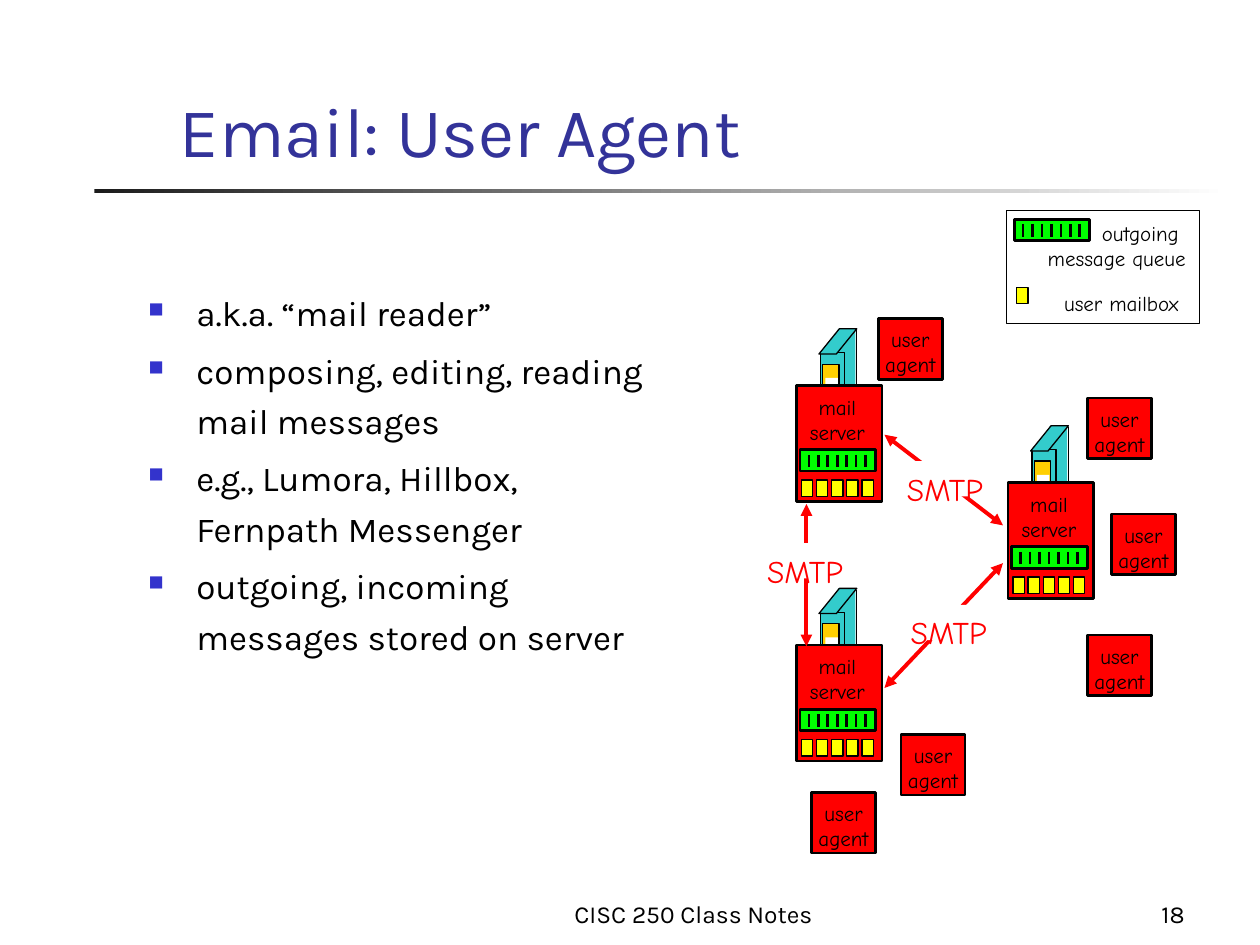
from lxml import etree
from pptx import Presentation, util as u
from pptx.dml.color import RGBColor
from pptx.enum import shapes, text
from pptx.oxml import ns

# Content; places are in columns and rows of a 100 x 75 grid
TITLE = "Email: User Agent"
BULLETS = [
    "a.k.a. “mail reader”",
    "composing, editing, reading mail messages",
    "e.g., Lumora, Hillbox, Fernpath Messenger",
    "outgoing, incoming messages stored on server",
]
FOOTER, PAGE_NUMBER = "CISC 250 Class Notes", "18"
SERVERS = [(80, 38.3), (63.2, 51.2), (63.2, 30.6)]
AGENTS = [(86.3, 31.6), (88.2, 40.8), (86.3, 50.4), (71.5, 58.3), (64.4, 62.9), (69.7, 25.3)]
ARROWS = [(70.2, 34.5, 79.6, 41.7), (70.2, 54.6, 79.6, 44.7), (64, 51.3, 64, 40)]
PROTOCOLS = [(71.7, 48), (71.4, 36.6), (60.3, 43.1)]

COLORS = {
    "title": "333399", "bullet": "3333CC", "black": "000000", "white": "FFFFFF",
    "rule": "1C1C1C", "red": "FF0000", "queue": "00FF00", "mailbox": "FFFF00",
    "tower": "33CCCC", "door": "FFCF01",
}
BODY_FONT, LABEL_FONT = "Karla", "Comic Neue"
LEFT, CENTER, RIGHT = text.PP_ALIGN.LEFT, text.PP_ALIGN.CENTER, text.PP_ALIGN.RIGHT
TOP, BOTTOM = text.MSO_ANCHOR.TOP, text.MSO_ANCHOR.BOTTOM

deck = Presentation()
deck.slide_width, deck.slide_height = u.Inches(10), u.Inches(7.5)
page = deck.slides.add_slide(deck.slide_layouts[6])
COLUMN, ROW = deck.slide_width / 100, deck.slide_height / 75


def grid(*lengths):
    """Turn alternating columns and rows into slide lengths."""
    return [round(n * (ROW if i % 2 else COLUMN)) for i, n in enumerate(lengths)]


def color(name):
    return RGBColor.from_string(COLORS[name])


def add_block(x, y, width, height, fill=None, line=None, kind=shapes.MSO_SHAPE.RECTANGLE):
    block = page.shapes.add_shape(kind, *grid(x, y, width, height))
    block.shadow.inherit = False
    if fill:
        block.fill.solid()
        block.fill.fore_color.rgb = color(fill)
    else:
        block.fill.background()
    if line:
        block.line.color.rgb = color("black")
        block.line.width = u.Pt(line)
    else:
        block.line.fill.background()
    return block


def add_line(x1, y1, x2, y2, width, tint="black", arrows=False):
    line = page.shapes.add_connector(shapes.MSO_CONNECTOR.STRAIGHT, *grid(x1, y1, x2, y2))
    line.line.color.rgb = color(tint)
    line.line.width = u.Pt(width)
    if arrows:
        outline = line.line._get_or_add_ln()
        for end in ("a:headEnd", "a:tailEnd"):
            etree.SubElement(outline, ns.qn(end), type="triangle")
    etree.SubElement(line._element.spPr, ns.qn("a:effectLst"))


def add_bullet(para):
    props = para._p.get_or_add_pPr()
    props.set("marL", str(u.Inches(0.38)))
    props.set("indent", str(-u.Inches(0.38)))
    tint = etree.SubElement(props, ns.qn("a:buClr"))
    etree.SubElement(tint, ns.qn("a:srgbClr"), val=COLORS["bullet"])
    etree.SubElement(props, ns.qn("a:buSzPct"), val="60000")
    etree.SubElement(props, ns.qn("a:buChar"), char="■")


def add_text(lines, x, y, width, height, size=12, font=LABEL_FONT, tint="black",
             align=CENTER, anchor=TOP, wrap=False, bullets=False, spacing=None, before=0):
    box = page.shapes.add_textbox(*grid(x, y, width, height))
    frame = box.text_frame
    frame.word_wrap, frame.vertical_anchor = wrap, anchor
    for i, words in enumerate(lines):
        para = frame.add_paragraph() if i else frame.paragraphs[0]
        if bullets:
            add_bullet(para)
        para.alignment = align
        if spacing:
            para.line_spacing = spacing
        if i and before:
            para.space_before = u.Pt(before)
        span = para.add_run()
        span.text = words
        span.font.size, span.font.name = u.Pt(size), font
        span.font.color.rgb = color(tint)


def add_queue(x, y):
    add_block(x, y, 6, 1.7, "queue", 1.5)
    for i in range(7):
        tick = x + 0.7 + 0.75 * i
        add_line(tick, y + 0.4, tick, y + 1.4, 1.5)


def add_mailbox(x, y):
    add_block(x, y, 0.9, 1.3, "mailbox", 0.75)


def add_server(x, y):
    # Tower behind the server
    add_block(x + 3.3, y - 4.5, 1.4, 6.5, "tower")
    add_block(x + 1.9, y - 2.6, 1.9, 6.5, "tower", 0.75)
    roof = add_block(x + 1.8, y - 4.5, 3, 2, "tower", 0.75, shapes.MSO_SHAPE.PARALLELOGRAM)
    roof.adjustments[0] = 0.81
    add_line(x + 4.8, y - 4.4, x + 4.8, y + 2, 0.75)
    add_block(x + 2.1, y - 1.7, 1.3, 3.8, "door", 0.75)
    add_block(x + 2.3, y - 0.6, 1, 1.3, "white")
    # Server with its queue and mailboxes
    add_block(x, y, 6.8, 9.2, "red", 1.5)
    add_text(["mail", "server"], x - 0.3, y + 0.2, 7.1, 5)
    add_queue(x + 0.3, y + 5.1)
    for i in range(5):
        add_mailbox(x + 0.4 + 1.2 * i, y + 7.5)


# Title rule, footer, title and body
rule = add_block(7.5, 15, 90, 0.3)
rule.fill.gradient()
rule.fill.gradient_angle = 0
for stop, name in zip(rule.fill.gradient_stops, ("rule", "white")):
    stop.color.rgb = color(name)
footer_style = dict(size=14, font=BODY_FONT, anchor=BOTTOM, wrap=True)
add_text([FOOTER], 34.2, 69.2, 41.7, 5, **footer_style)
add_text([PAGE_NUMBER], 85.8, 69.2, 9.2, 5, align=RIGHT, **footer_style)
add_text([TITLE], 13.3, 2.5, 82.8, 11.6, size=40, font=BODY_FONT, tint="title",
         align=LEFT, anchor=BOTTOM, wrap=True)
add_text(BULLETS, 10.8, 22, 41.7, 44.7, size=20, font=BODY_FONT, align=LEFT,
         wrap=True, bullets=True, spacing=1.2, before=4)

# Legend
add_block(79.9, 16.7, 15.3, 9, line=0.75)
add_text(["user mailbox"], 83.1, 22.6, 11.8, 3)
add_queue(80.5, 17.4)
add_mailbox(80.7, 22.8)
add_text(["outgoing ", "message queue"], 81.6, 17, 13.5, 5, align=RIGHT)

# Mail servers and user agents
for x, y in SERVERS:
    add_server(x, y)
for x, y in AGENTS:
    add_block(x, y, 5.1, 4.8, "red", 1.5)
    add_text(["user", "agent"], x - 0.6, y + 0.15, 6.3, 5)

# Links between servers, each broken by its protocol label
for ends in ARROWS:
    add_line(*ends, 2.25, tint="red", arrows=True)
for x, y in PROTOCOLS:
    add_block(x, y, 7.2, 2.8, "white")
    add_text(["SMTP"], x - 0.9, y + 0.2, 9, 4, size=18, tint="red")

deck.save("out.pptx")
